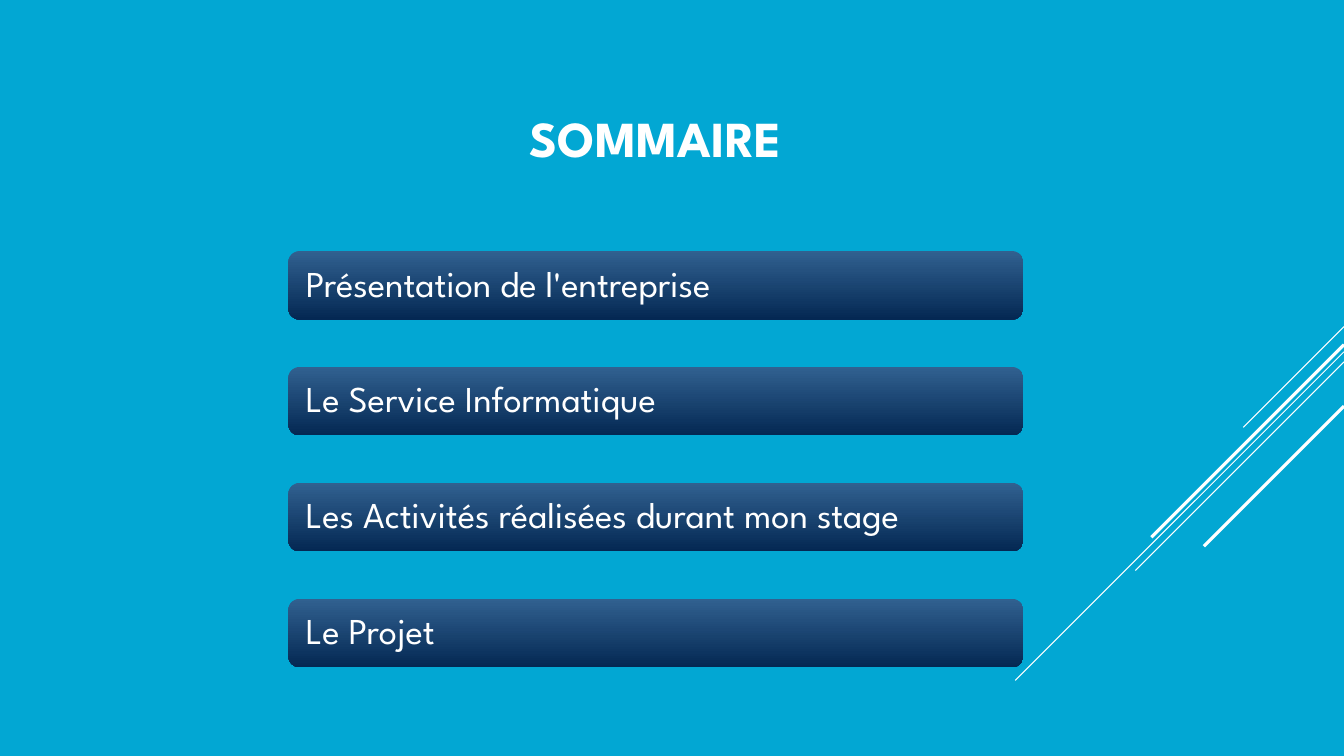
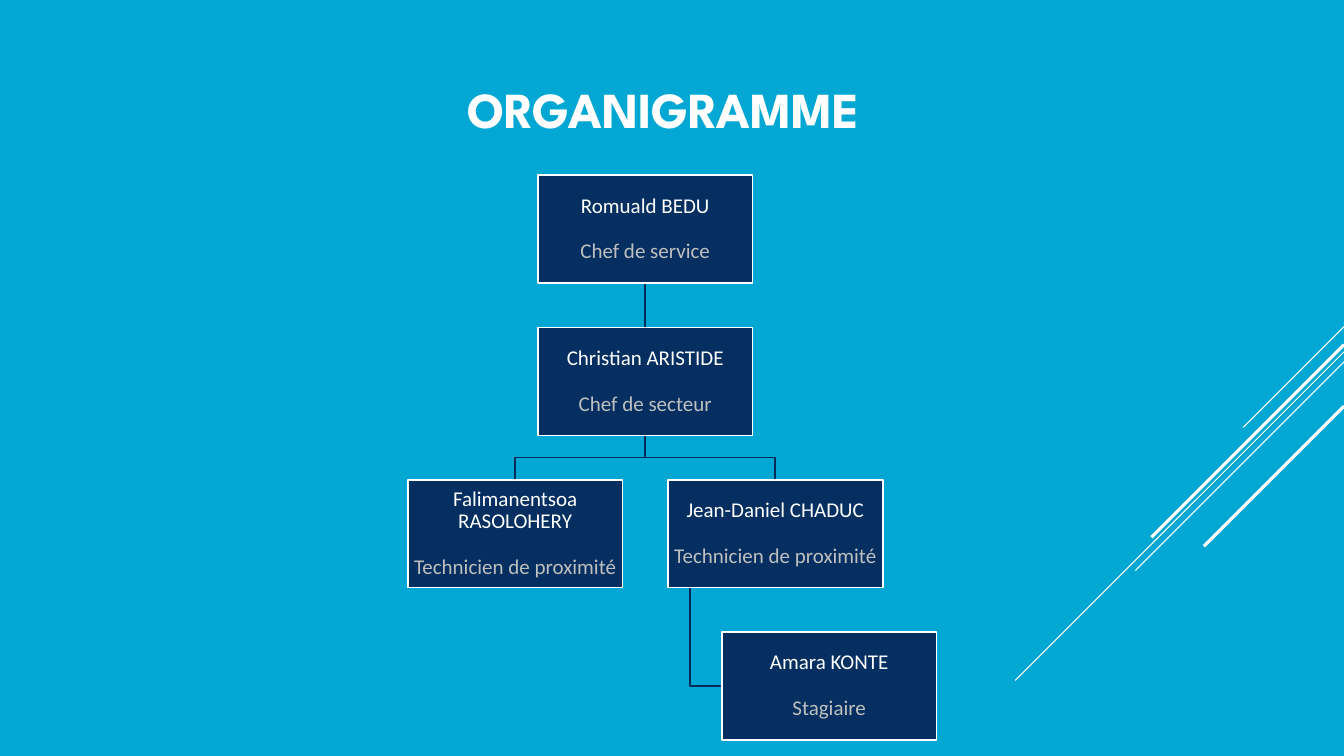
from lxml.etree import SubElement
from pptx import Presentation
from pptx.dml.color import RGBColor
from pptx.enum.shapes import MSO_CONNECTOR, MSO_SHAPE
from pptx.enum.text import MSO_ANCHOR, PP_ALIGN
from pptx.oxml.ns import qn
from pptx.util import Inches, Pt

COLOURS = {
    "background": "02A7D3",
    "white": "FFFFFF",
    "bar_top": "316190",
    "bar_bottom": "042853",
    "person": "052F61",
    "role": "BFBFBF",
    "link": "052B58",
}
TITLE_FONT = "League Spartan"
BODY_FONT = "Calibri"

DIAGONALS = [
    (3.24, 1.0, 0.75),
    (3.49, 3.26, 0.75),
    (3.59, 2.07, 0.75),
    (3.42, 1.91, 2.25),
    (4.03, 1.39, 2.25),
]
SLIDE_WIDTH = 13.33
BOX_WIDTH, BOX_HEIGHT = 2.13, 1.07
FIRST_ROW, ROW_PITCH = 1.74, 1.51


def colour(name):
    return RGBColor.from_string(COLOURS[name])


class SlideBuilder:
    def __init__(self):
        self.deck = Presentation()
        self.deck.slide_width = Inches(SLIDE_WIDTH)
        self.deck.slide_height = Inches(7.5)
        fill = self.deck.slide_master.background.fill
        fill.solid()
        fill.fore_color.rgb = colour("background")
        self.page = None

    def new_page(self):
        self.page = self.deck.slides.add_slide(self.deck.slide_layouts[6])
        for top, reach, weight in DIAGONALS:
            self.line((SLIDE_WIDTH, top), (SLIDE_WIDTH - reach, top + reach), "white", weight)

    def line(self, start, end, name, weight):
        line = self.page.shapes.add_connector(
            MSO_CONNECTOR.STRAIGHT, *[Inches(value) for value in (*start, *end)]
        )
        line.line.color.rgb = colour(name)
        line.line.width = Pt(weight)
        SubElement(line._element.spPr, qn("a:effectLst"))

    def elbow(self, *points):
        corners = [(Inches(x), Inches(y)) for x, y in points]
        builder = self.page.shapes.build_freeform(*corners[0])
        builder.add_line_segments(corners[1:], close=False)
        outline = builder.convert_to_shape()
        outline.fill.background()
        outline.line.color.rgb = colour("link")
        outline.line.width = Pt(1.25)
        outline.shadow.inherit = False

    def frame(self, shape, inset):
        frame = shape.text_frame
        frame.word_wrap = True
        frame.vertical_anchor = MSO_ANCHOR.MIDDLE
        frame.margin_left = frame.margin_right = Inches(inset)
        frame.margin_top = frame.margin_bottom = Inches(0.01)
        return frame

    def set_text(self, para, text, font, size, name="white", align=PP_ALIGN.CENTER, bold=False):
        para.text = text
        para.alignment = align
        para.line_spacing = 0.9
        para.font.name = font
        para.font.size = Pt(size)
        para.font.bold = bold
        para.font.color.rgb = colour(name)

    def shape(self, kind, left, top, width, height):
        shape = self.page.shapes.add_shape(
            kind, Inches(left), Inches(top), Inches(width), Inches(height)
        )
        shape.shadow.inherit = False
        return shape

    def title(self, text, left, top, width, height):
        box = self.page.shapes.add_textbox(
            Inches(left), Inches(top), Inches(width), Inches(height)
        )
        self.set_text(self.frame(box, 0.1).paragraphs[0], text, TITLE_FONT, 36, bold=True)

    def bar(self, text, top):
        bar = self.shape(MSO_SHAPE.ROUNDED_RECTANGLE, 2.86, top, 7.29, 0.68)
        bar.line.fill.background()
        bar.fill.gradient()
        bar.fill.gradient_angle = 270
        for stop, name, position in zip(bar.fill.gradient_stops, ("bar_top", "bar_bottom"), (0, 1)):
            stop.color.rgb = colour(name)
            stop.position = position
        para = self.frame(bar, 0.14).paragraphs[0]
        self.set_text(para, text, TITLE_FONT, 26, align=PP_ALIGN.LEFT)

    def person(self, name, role, left, top):
        box = self.shape(MSO_SHAPE.RECTANGLE, left, top, BOX_WIDTH, BOX_HEIGHT)
        box.fill.solid()
        box.fill.fore_color.rgb = colour("person")
        box.line.color.rgb = colour("white")
        box.line.width = Pt(1.25)
        frame = self.frame(box, 0.01)
        self.set_text(frame.paragraphs[0], name, BODY_FONT, 15)
        para = frame.add_paragraph()
        self.set_text(para, role, BODY_FONT, 15, "role")
        para.space_before = Pt(16.5)


def summary(builder):
    builder.new_page()
    builder.title("SOMMAIRE", 1.84, 0.58, 9.33, 1.65)
    topics = [
        "Présentation de l'entreprise",
        "Le Service Informatique",
        "Les Activités réalisées durant mon stage",
        "Le Projet",
    ]
    for index, topic in enumerate(topics):
        builder.bar(topic, 2.49 + 1.15 * index)


def organisation(builder):
    builder.new_page()
    builder.title("ORGANIGRAMME", 2.84, 0.42, 7.48, 1.38)
    centre, spread, intern_left = 6.4, 1.29, 7.16
    tops = [FIRST_ROW + ROW_PITCH * row for row in range(4)]
    bottoms = [top + BOX_HEIGHT for top in tops]
    middle_left = centre - BOX_WIDTH / 2

    trunk = 6.84
    intern_middle = tops[3] + BOX_HEIGHT / 2
    builder.elbow((trunk, bottoms[2]), (trunk, intern_middle), (intern_left, intern_middle))
    fork = (bottoms[1] + tops[2]) / 2
    for branch in (centre + spread, centre - spread):
        builder.elbow((centre, bottoms[1]), (centre, fork), (branch, fork), (branch, tops[2]))
    builder.line((centre, bottoms[0]), (centre, tops[1]), "link", 1.25)

    people = [
        ("Romuald BEDU", "Chef de service", middle_left, 0),
        ("Christian ARISTIDE", "Chef de secteur", middle_left, 1),
        ("Falimanentsoa RASOLOHERY", "Technicien de proximité", middle_left - spread, 2),
        ("Jean-Daniel CHADUC", "Technicien de proximité", middle_left + spread, 2),
        ("Amara KONTE", "Stagiaire", intern_left, 3),
    ]
    for name, role, left, row in people:
        builder.person(name, role, left, tops[row])


def main():
    builder = SlideBuilder()
    summary(builder)
    organisation(builder)
    builder.deck.save("out.pptx")


if __name__ == "__main__":
    main()
